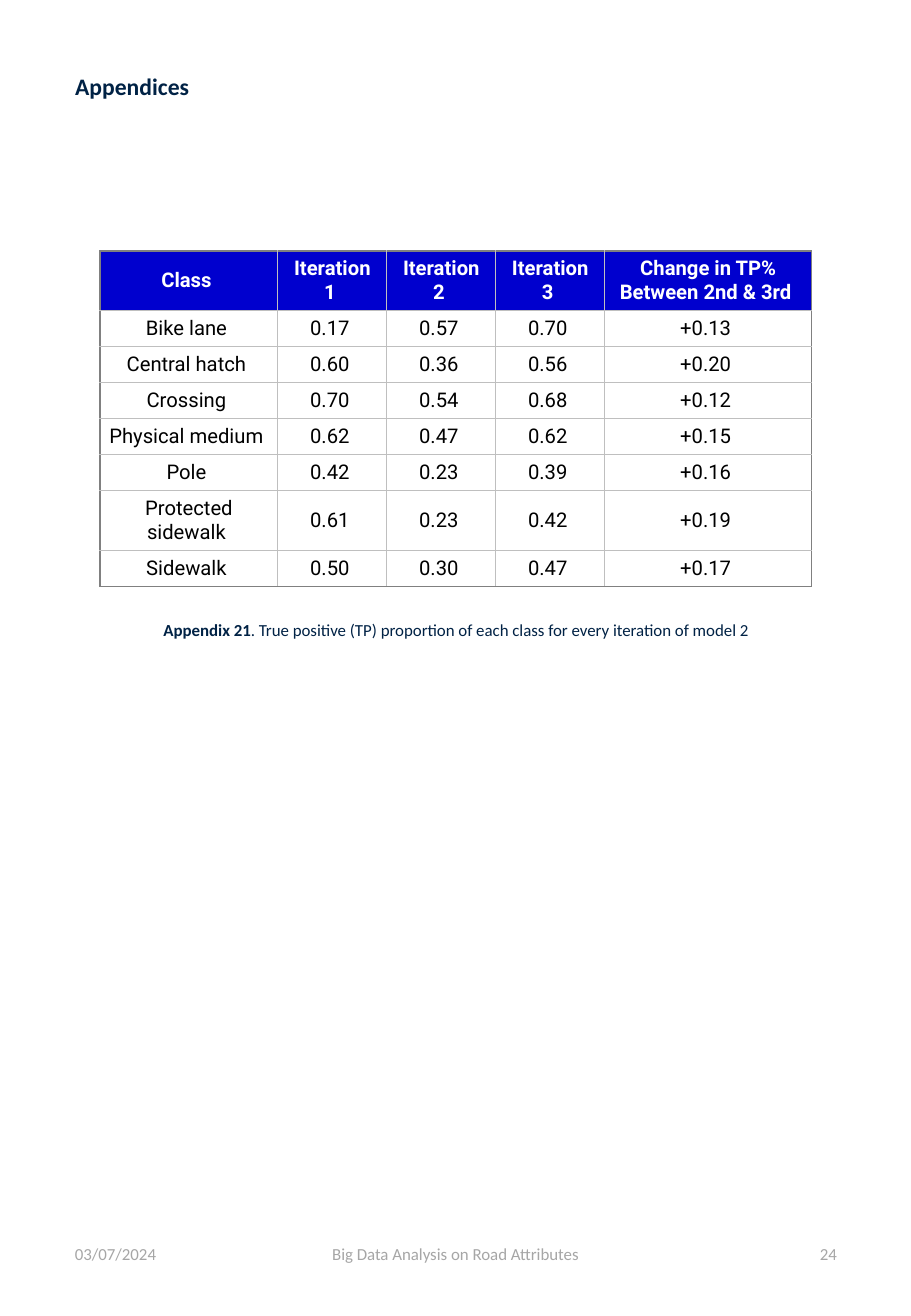
from dataclasses import dataclass

from lxml import etree
from pptx import Presentation
from pptx import util as u
from pptx.dml.color import RGBColor
from pptx.enum import text as tx
from pptx.oxml import ns

PX = 7526  # EMU in one px, at 121.5 px to the inch
NBSP = chr(160)  # trailing no-break space that ends every cell


@dataclass(frozen=True)
class Theme:
    text_font: str = "Calibri"
    table_font: str = "Roboto"
    navy: str = "002245"
    grey: str = "A6A6A6"
    header: str = "0000CE"
    white: str = "FFFFFF"
    black: str = "000000"
    frame: tuple = ("808080", 1)
    grid: tuple = ("BFBFBF", 0.75)
    heading_size: int = 14
    table_size: int = 12
    small_size: int = 10


THEME = Theme()
ALIGN = tx.PP_ALIGN
ANCHOR = tx.MSO_ANCHOR

HEADINGS = ["Class", "Iteration 1", "Iteration 2", "Iteration 3",
            "Change in TP% Between 2nd & 3rd"]
PROPORTIONS = [
    ["Bike lane", "0.17", "0.57", "0.70", "+0.13"],
    ["Central hatch", "0.60", "0.36", "0.56", "+0.20"],
    ["Crossing", "0.70", "0.54", "0.68", "+0.12"],
    ["Physical medium", "0.62", "0.47", "0.62", "+0.15"],
    ["Pole", "0.42", "0.23", "0.39", "+0.16"],
    ["Protected sidewalk", "0.61", "0.23", "0.42", "+0.19"],
    ["Sidewalk", "0.50", "0.30", "0.47", "+0.17"],
]
COLUMN_WIDTHS = [178, 109, 109, 109, 207]
LINE_ROW, TWO_LINE_ROW = 36, 60
TWO_LINE_ROWS = {"Class", "Protected sidewalk"}


def emu(*lengths):
    return [u.Emu(length * PX) for length in lengths]


def set_all(target, values):
    for name, value in values.items():
        setattr(target, name, value)


def write(frame, runs, size, color, font, align):
    """Fill the first paragraph with (wording, bold) runs."""
    paragraph = frame.paragraphs[0]
    paragraph.alignment = align
    for wording, bold in runs:
        run = paragraph.add_run()
        run.text = wording
        set_all(run.font, {"size": u.Pt(size), "name": font, "bold": bold})
        run.font.color.rgb = RGBColor.from_string(color)
    return paragraph


def add_label(slide, box, runs, color, align, anchor):
    frame = slide.shapes.add_textbox(*emu(*box)).text_frame
    set_all(frame, {"word_wrap": True, "vertical_anchor": anchor})
    write(frame, runs, THEME.small_size, color, THEME.text_font, align)


def add_heading(slide, box):
    heading = slide.shapes.title
    set_all(heading, dict(zip(("left", "top", "width", "height"), emu(*box))))
    set_all(heading.text_frame, {"word_wrap": True, "vertical_anchor": ANCHOR.TOP,
                                 "auto_size": tx.MSO_AUTO_SIZE.NONE})
    paragraph = write(heading.text_frame, [("Appendices", True)], THEME.heading_size,
                      THEME.navy, THEME.text_font, ALIGN.JUSTIFY)
    set_all(paragraph, {"line_spacing": 1.1, "space_before": u.Pt(0),
                        "space_after": u.Pt(8)})


def set_borders(cell, on_frame):
    """Draw the four sides, heavier where the side lies on the table's frame."""
    properties = cell._tc.get_or_add_tcPr()
    for side in "LRTB":
        color, width = THEME.frame if on_frame[side] else THEME.grid
        line = etree.SubElement(properties, ns.qn(f"a:ln{side}"), w=str(u.Pt(width)))
        fill = etree.SubElement(line, ns.qn("a:solidFill"))
        etree.SubElement(fill, ns.qn("a:srgbClr"), val=color)


def add_proportions(slide, box):
    rows = [HEADINGS] + PROPORTIONS
    last_row, last_column = len(rows) - 1, len(HEADINGS) - 1
    table = slide.shapes.add_table(len(rows), len(HEADINGS), *emu(*box)).table
    table.horz_banding = False
    for column, width in zip(table.columns, emu(*COLUMN_WIDTHS)):
        column.width = width
    side_inset, end_inset = emu(8, 6)

    for r, values in enumerate(rows):
        tall = values[0] in TWO_LINE_ROWS
        table.rows[r].height = emu(TWO_LINE_ROW if tall else LINE_ROW)[0]
        for c, value in enumerate(values):
            cell = table.cell(r, c)
            set_all(cell, {"margin_left": side_inset, "margin_right": side_inset,
                           "margin_top": end_inset, "margin_bottom": end_inset,
                           "vertical_anchor": ANCHOR.MIDDLE})
            set_borders(cell, {"L": c == 0, "R": c == last_column,
                               "T": r == 0, "B": r == last_row})
            is_heading = r == 0
            if is_heading:
                cell.fill.solid()
                cell.fill.fore_color.rgb = RGBColor.from_string(THEME.header)
            else:
                cell.fill.background()
            write(cell.text_frame, [(value + NBSP, is_heading)], THEME.table_size,
                  THEME.white if is_heading else THEME.black,
                  THEME.table_font, ALIGN.CENTER)


def add_caption(slide, box):
    runs = [("Appendix 21", True),
            (". True positive (TP) proportion of each class for every iteration of model 2",
             False)]
    add_label(slide, box, runs, THEME.navy, ALIGN.CENTER, ANCHOR.TOP)


def add_footer(slide, box):
    left, top, width, height = box
    side, middle = 205, 307
    parts = [
        ("03/07/2024", left, side, ALIGN.LEFT),
        ("Big Data Analysis on Road Attributes", left + (width - middle) // 2,
         middle, ALIGN.CENTER),
        ("24", left + width - side, side, ALIGN.RIGHT),
    ]
    for wording, x, part_width, align in parts:
        add_label(slide, (x, top, part_width, height), [(wording, False)],
                  THEME.grey, align, ANCHOR.MIDDLE)


def main():
    deck = Presentation()
    deck.slide_width, deck.slide_height = u.Inches(7.5), u.Inches(10.84)
    slide = deck.slides.add_slide(deck.slide_layouts[5])

    add_heading(slide, (63, 63, 786, 50))
    add_proportions(slide, (100, 251, 712, 336))
    add_caption(slide, (100, 614, 712, 33))
    add_footer(slide, (63, 1220, 786, 70))

    deck.save("out.pptx")


if __name__ == "__main__":
    main()
